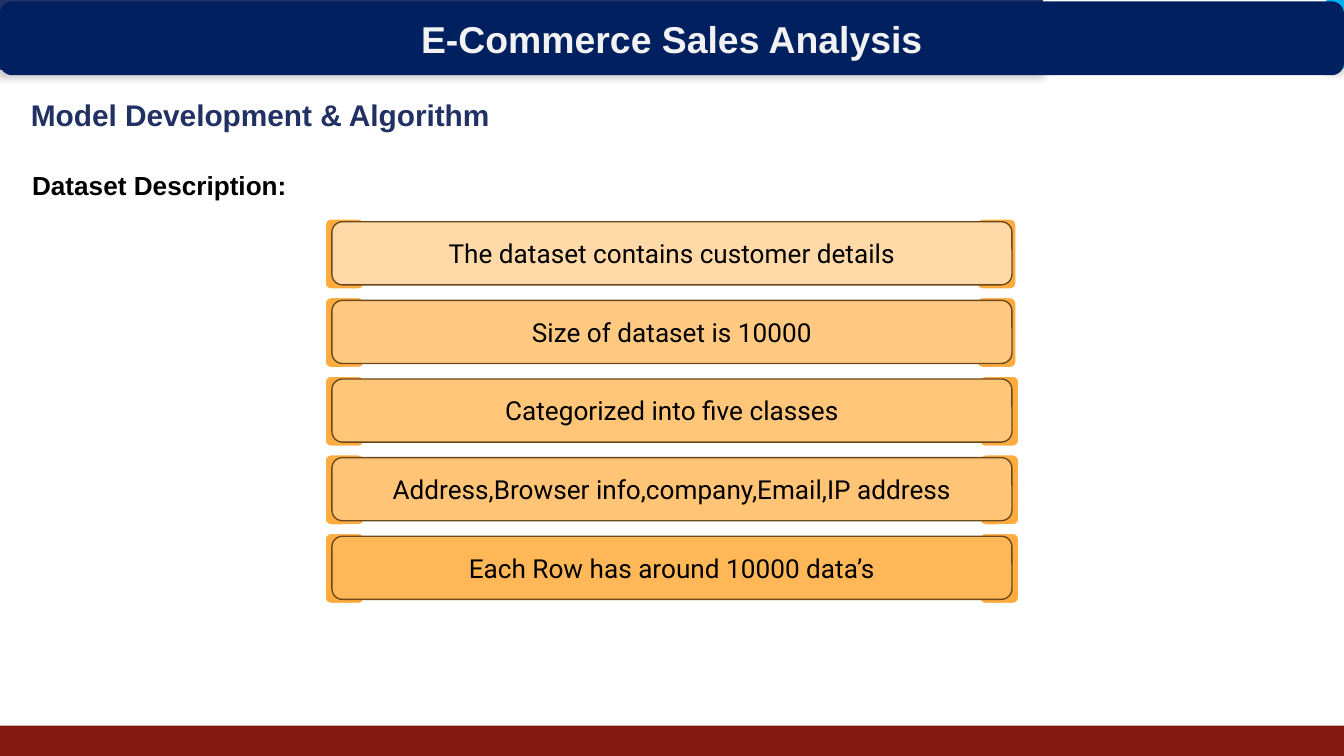
from lxml.etree import SubElement
from pptx import Presentation
from pptx.dml.color import RGBColor
from pptx.enum.shapes import MSO_SHAPE as Preset
from pptx.enum.text import MSO_ANCHOR as Anchor, MSO_AUTO_SIZE as AutoSize, PP_ALIGN as Align
from pptx.oxml.ns import qn
from pptx.util import Inches, Pt

BANNER = "E-Commerce Sales Analysis"
TITLE = "Model Development & Algorithm"
SUBTITLE = "Dataset Description:"
FACTS = [
    ("The dataset contains customer details", "FFD9A7", 7.26),
    ("Size of dataset is 10000", "FFC981", 7.26),
    ("Categorized into five classes", "FFC679", 7.28),
    ("Address,Browser info,company,Email,IP address", "FFC475", 7.28),
    ("Each Row has around 10000 data’s", "FFB757", 7.28),
]
COLORS = {
    "navy": "002060", "strip": "223366", "cyan": "00B0F0", "footer": "851910",
    "title": "213163", "banner text": "F2F2F2", "text": "000000",
    "clip": "FFAB40", "clip line": "FFFFFF", "bar line": "6B481B",
}
CLIP_LEFT, CLIP_TOP = 2.41, 1.62
BAR_LEFT, BAR_TOP, LAST_BAR_TOP = 2.47, 1.65, 3.99
ROW_STEP = (LAST_BAR_TOP - BAR_TOP) / (len(FACTS) - 1)


def rgb(value):
    return RGBColor.from_string(COLORS.get(value, value))


def add_box(slide, preset, box, fill, line=None, width=0):
    shape = slide.shapes.add_shape(preset, *map(Inches, box))
    shape.shadow.inherit = False
    shape.fill.solid()
    shape.fill.fore_color.rgb = rgb(fill)
    if line:
        shape.line.color.rgb = rgb(line)
        shape.line.width = Pt(width)
    else:
        shape.line.fill.background()
    return shape


def add_shadow(shape):
    effects = shape._element.spPr.find(qn("a:effectLst"))
    shadow = SubElement(effects, qn("a:outerShdw"), blurRad=str(Pt(4)), dist=str(Pt(3)),
                        dir="5400000", rotWithShape="0")
    color = SubElement(shadow, qn("a:srgbClr"), val="000000")
    SubElement(color, qn("a:alpha"), val="24000")


def write(shape, text, size, font, color, bold=False, align=Align.CENTER,
          anchor=Anchor.MIDDLE, margin=0.05):
    frame = shape.text_frame
    frame.word_wrap = True
    frame.auto_size = AutoSize.NONE
    frame.vertical_anchor = anchor
    frame.margin_left = frame.margin_right = Inches(0.1)
    frame.margin_top = frame.margin_bottom = Inches(margin)
    paragraph = frame.paragraphs[0]
    paragraph.alignment = align
    run = paragraph.add_run()
    run.text = text
    run.font.size = Pt(size)
    run.font.name = font
    run.font.bold = bold
    run.font.color.rgb = rgb(color)
    return paragraph


def main():
    """Build the dataset description slide."""
    presentation = Presentation()
    presentation.slide_width = Inches(10)
    presentation.slide_height = presentation.slide_width * 9 // 16
    slide = presentation.slides.add_slide(presentation.slide_layouts[5])

    add_shadow(add_box(slide, Preset.RECTANGLE, (0, 0, 7.75, 0.51), "strip", "strip", 2))
    add_box(slide, Preset.RECTANGLE, (0, 5.4, 10, 0.23), "footer")
    add_shadow(add_box(slide, Preset.RECTANGLE, (9.87, 0, 0.13, 0.51), "cyan"))

    heading = {"font": "Arial", "bold": True, "align": Align.LEFT,
               "anchor": Anchor.TOP, "margin": 0.1}
    title = slide.shapes.title
    title.left, title.top, title.width, title.height = map(Inches, (0.13, 0.62, 4.87, 0.47))
    write(title, TITLE, 16, color="title", **heading)
    subtitle = slide.shapes.add_textbox(*map(Inches, (0.14, 1.16, 4.8, 0.55)))
    write(subtitle, SUBTITLE, 14, color="text", **heading).space_after = Pt(8)

    for row, (text, fill, clip_right) in enumerate(FACTS):
        offset = row * ROW_STEP
        for left in (CLIP_LEFT, clip_right):
            add_box(slide, Preset.ROUNDED_RECTANGLE, (left, CLIP_TOP + offset, 0.31, 0.54),
                    "clip", "clip line", 2)
        bar = add_box(slide, Preset.ROUNDED_RECTANGLE, (BAR_LEFT, BAR_TOP + offset, 5.06, 0.47),
                      fill, "bar line", 0.75)
        write(bar, text, 14, "Roboto", "text")

    banner = add_box(slide, Preset.ROUNDED_RECTANGLE, (0, 0.01, 10, 0.55), "navy")
    write(banner, BANNER, 20, "Arial", "banner text", bold=True)
    presentation.save("out.pptx")


if __name__ == "__main__":
    main()
